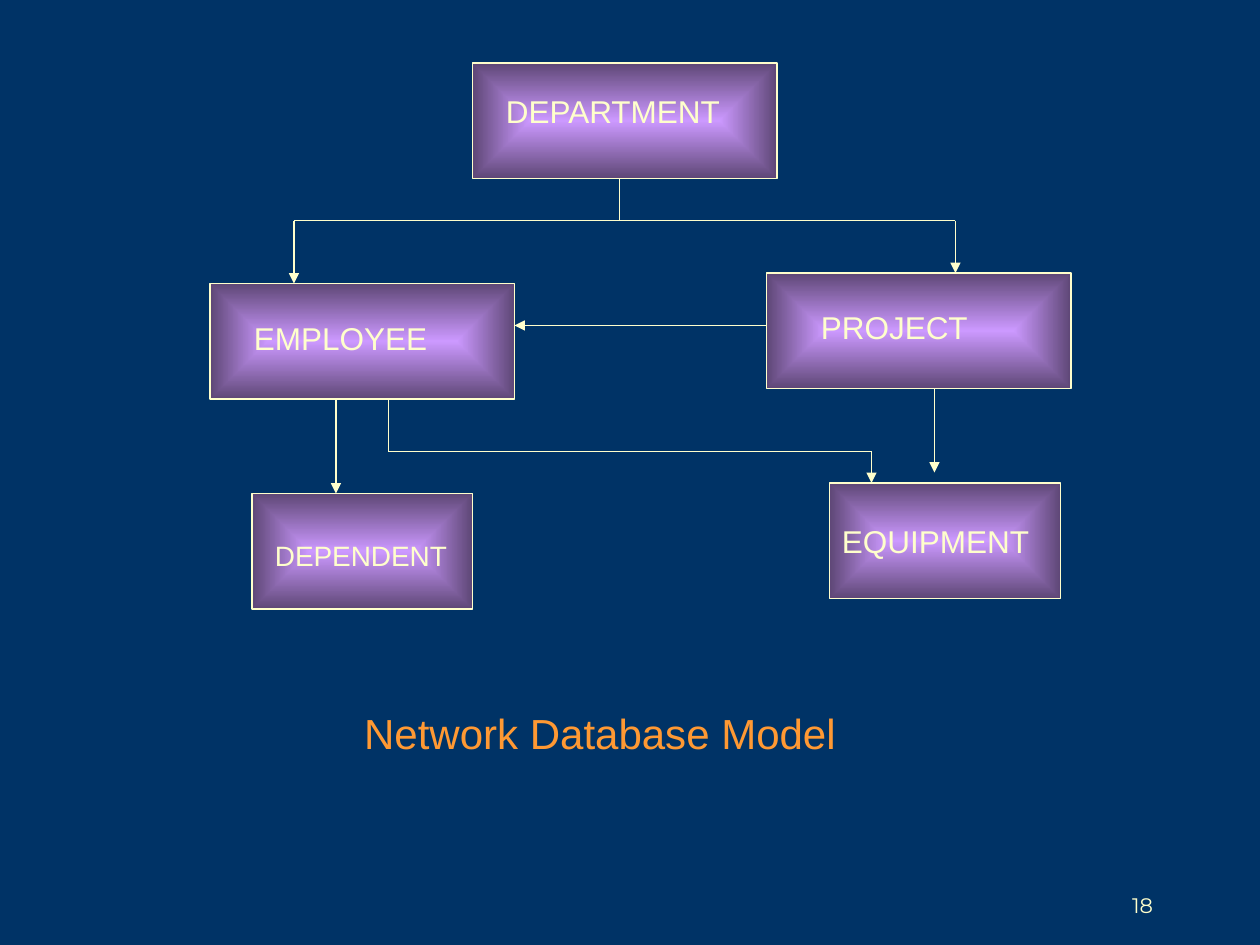
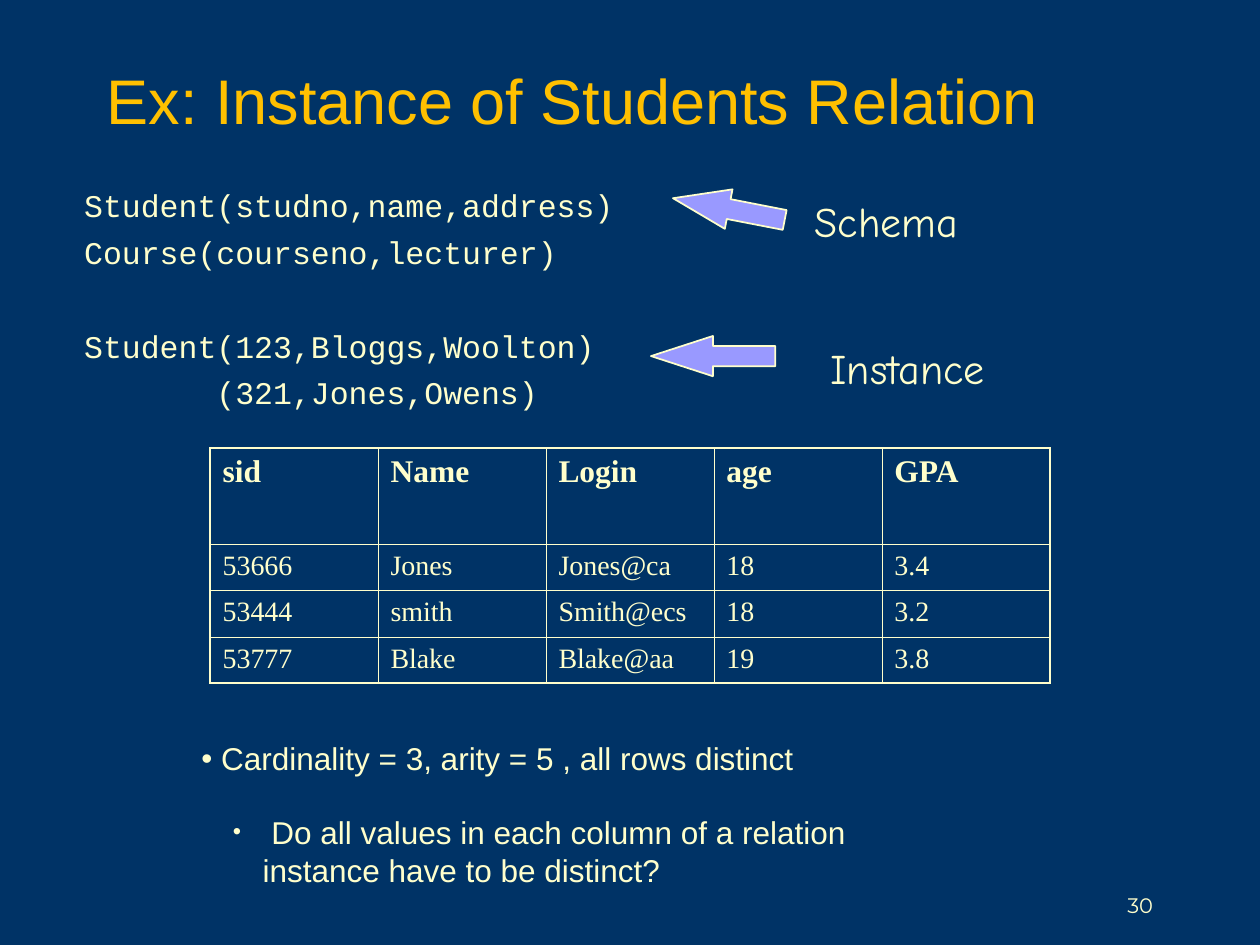
from pptx import Presentation
from pptx.dml.color import RGBColor
from pptx.enum.shapes import MSO_CONNECTOR, MSO_SHAPE
from pptx.enum.text import MSO_ANCHOR, PP_ALIGN
from pptx.oxml import parse_xml
from pptx.oxml.ns import nsdecls, qn
from pptx.util import Pt

HUES = {
    "back": "003366",
    "cream": "FFFFCC",
    "gold": "FFC000",
    "orange": "FF9933",
    "lilac": "CC99FF",
    "plum": "5E4776",
    "arrow": "9999FF",
}


def rgb(name):
    return RGBColor.from_string(HUES[name])


def node(tag, attrs="", inner=""):
    return parse_xml(f"<a:{tag} {nsdecls('a')} {attrs}>{inner}</a:{tag}>")


def solid(name):
    return f'<a:solidFill><a:srgbClr val="{HUES[name]}"/></a:solidFill>'


class Deck:
    def __init__(self, wide, high):
        self.show = Presentation()
        self.show.slide_width, self.show.slide_height = Pt(wide), Pt(high)
        self.style = {"name": "Arial", "size": 18, "bold": False, "hue": "cream"}
        self.slide = None

    def page(self, number):
        self.slide = self.show.slides.add_slide(self.show.slide_layouts[6])
        fill = self.slide.background.fill
        fill.solid()
        fill.fore_color.rgb = rgb("back")
        self.text([str(number)], 516, 492, 150, 36, name="Montserrat", size=12,
                  align=PP_ALIGN.RIGHT, anchor=MSO_ANCHOR.BOTTOM)

    def fill_in(self, para, words, **form):
        run = para.add_run()
        run.text = words
        look = self.style | form
        run.font.color.rgb = rgb(look.pop("hue"))
        look["size"] = Pt(look["size"])
        for key, value in look.items():
            setattr(run.font, key, value)

    def text(self, lines, left, top, wide, high, align=PP_ALIGN.LEFT,
             anchor=MSO_ANCHOR.TOP, gaps=None, **form):
        frame = self.slide.shapes.add_textbox(
            Pt(left), Pt(top), Pt(wide), Pt(high)).text_frame
        for key, value in {"word_wrap": True, "vertical_anchor": anchor}.items():
            setattr(frame, key, value)
        for spot, words in enumerate(lines):
            para = frame.add_paragraph() if spot else frame.paragraphs[0]
            para.alignment = align
            if spot and gaps:
                para.space_before = Pt(gaps[spot - 1])
            self.fill_in(para, words, **form)
        return frame

    def bullet(self, words, left, top, wide, high, hang, scale):
        para = self.text([words], left, top, wide, high).paragraphs[0]
        props = para._p.get_or_add_pPr()
        props.set("marL", str(Pt(hang)))
        props.set("indent", str(-Pt(hang)))
        props.append(node("buClr", inner=f'<a:srgbClr val="{HUES["cream"]}"/>'))
        props.append(node("buSzPct", f'val="{scale * 1000}"'))
        props.append(node("buFont", 'typeface="Arial"'))
        props.append(node("buChar", 'char="•"'))

    def shape(self, kind, left, top, wide, high):
        shape = self.slide.shapes.add_shape(kind, Pt(left), Pt(top), Pt(wide), Pt(high))
        shape.shadow.inherit = False
        shape.line.color.rgb = rgb("cream")
        shape.line.width = Pt(1)
        return shape

    def box(self, *place):
        shape = self.shape(MSO_SHAPE.FLOWCHART_PROCESS, *place)
        shape.fill.gradient()
        for stop, name in zip(shape.fill.gradient_stops, ("lilac", "plum")):
            stop.color.rgb = rgb(name)
        grad = shape._element.spPr.find(qn("a:gradFill"))
        ends = 'l="50000" t="50000" r="50000" b="50000"'
        grad.replace(grad.find(qn("a:lin")),
                     node("path", 'path="rect"', f"<a:fillToRect {ends}/>"))

    def arrow(self, left, top, wide, high, point, turn=0):
        shape = self.shape(MSO_SHAPE.LEFT_ARROW, left, top, wide, high)
        shape.fill.solid()
        shape.fill.fore_color.rgb = rgb("arrow")
        shape.adjustments[1] = point
        shape.rotation = turn

    def line(self, *ends, head=False):
        line = self.slide.shapes.add_connector(MSO_CONNECTOR.STRAIGHT, *map(Pt, ends))
        line.line.color.rgb = rgb("cream")
        line.line.width = Pt(1)
        props = line._element.spPr
        if head:
            props.find(qn("a:ln")).append(node("tailEnd", 'type="triangle"'))
        props.append(node("effectLst"))

    def table(self, rows, left, top, wide, highs):
        last, end = len(rows) - 1, len(rows[0]) - 1
        grid = self.slide.shapes.add_table(
            last + 1, end + 1, Pt(left), Pt(top), Pt(wide), Pt(sum(highs))).table
        for key in ("first_row", "horz_banding"):
            setattr(grid, key, False)
        for y, (row, high) in enumerate(zip(rows, highs)):
            grid.rows[y].height = Pt(high)
            for x, words in enumerate(row):
                cell = grid.cell(y, x)
                edges = {"L": x == 0, "R": x == end, "T": y == 0, "B": y == last}
                for side, outer in edges.items():
                    width = Pt(1.08 if outer else 0.45)
                    cell._tc.get_or_add_tcPr().append(
                        node(f"ln{side}", f'w="{width}"', solid("cream")))
                cell.fill.background()
                self.fill_in(cell.text_frame.paragraphs[0], words,
                             name="Times New Roman", size=16 if y else 18, bold=y == 0)


def model(deck):
    deck.page(18)
    boxes = [
        ("DEPARTMENT", 270, 36, 174, 12, 13, 18),
        ("EMPLOYEE", 120, 162, 174, 18, 16.5, 18),
        ("PROJECT", 438, 156, 174, 24, 16.5, 18),
        ("DEPENDENT", 144, 282, 126, 6, 22, 16),
        ("EQUIPMENT", 474, 276, 132, 0, 19, 18),
    ]
    for label, left, top, wide, right, down, size in boxes:
        deck.box(left, top, wide, 66)
        deck.text([label], left + right, top + down, wide - right, 29, size=size)
    for ends in [(168, 126, 546, 126), (354, 102, 354, 126),
                 (222, 228, 222, 258), (222, 258, 498, 258)]:
        deck.line(*ends)
    for ends in [(546, 126, 546, 156), (168, 126, 168, 162), (534, 222, 534, 270),
                 (192, 228, 192, 282), (498, 258, 498, 276), (438, 186, 294, 186)]:
        deck.line(*ends, head=True)
    deck.text(["Network Database Model"], 201, 401, 339, 36, size=24, hue="orange")


def students(deck):
    deck.page(30)
    deck.text(["Ex: Instance of Students Relation"], 54, 12, 612, 90,
              anchor=MSO_ANCHOR.MIDDLE, size=36, hue="gold")
    deck.table([
        ("sid", "Name", "Login", "age", "GPA"),
        ("53666", "Jones", "Jones@ca", "18", "3.4"),
        ("53444", "smith", "Smith@ecs", "18", "3.2"),
        ("53777", "Blake", "Blake@aa", "19", "3.8"),
    ], 120, 256, 480, (55, 26.5, 26.5, 26.5))
    deck.bullet("Cardinality = 3, arity = 5 , all rows distinct",
                108, 419, 420, 29, 11.3, 100)
    deck.bullet(" Do all values in each column of a relation instance have to be distinct?",
                126, 461, 384, 50, 17, 75)
    deck.text([
        "Student(studno,name,address)",
        "Course(courseno,lecturer)",
        "Student(123,Bloggs,Woolton)",
        "       (321,Jones,Owens)",
    ], 41, 103, 325, 133, gaps=(5, 32, 5), name="Courier New")
    deck.arrow(384, 108, 65, 23, 1.41, 11)
    deck.arrow(372, 192, 71, 23, 1.54)
    for label, left, top in [("Schema", 458.5, 108), ("Instance", 467.5, 192)]:
        deck.text([label], left, top, 120, 36, name="Comic Neue", size=24)


def main():
    deck = Deck(720, 540)
    model(deck)
    students(deck)
    deck.show.save("out.pptx")


if __name__ == "__main__":
    main()
